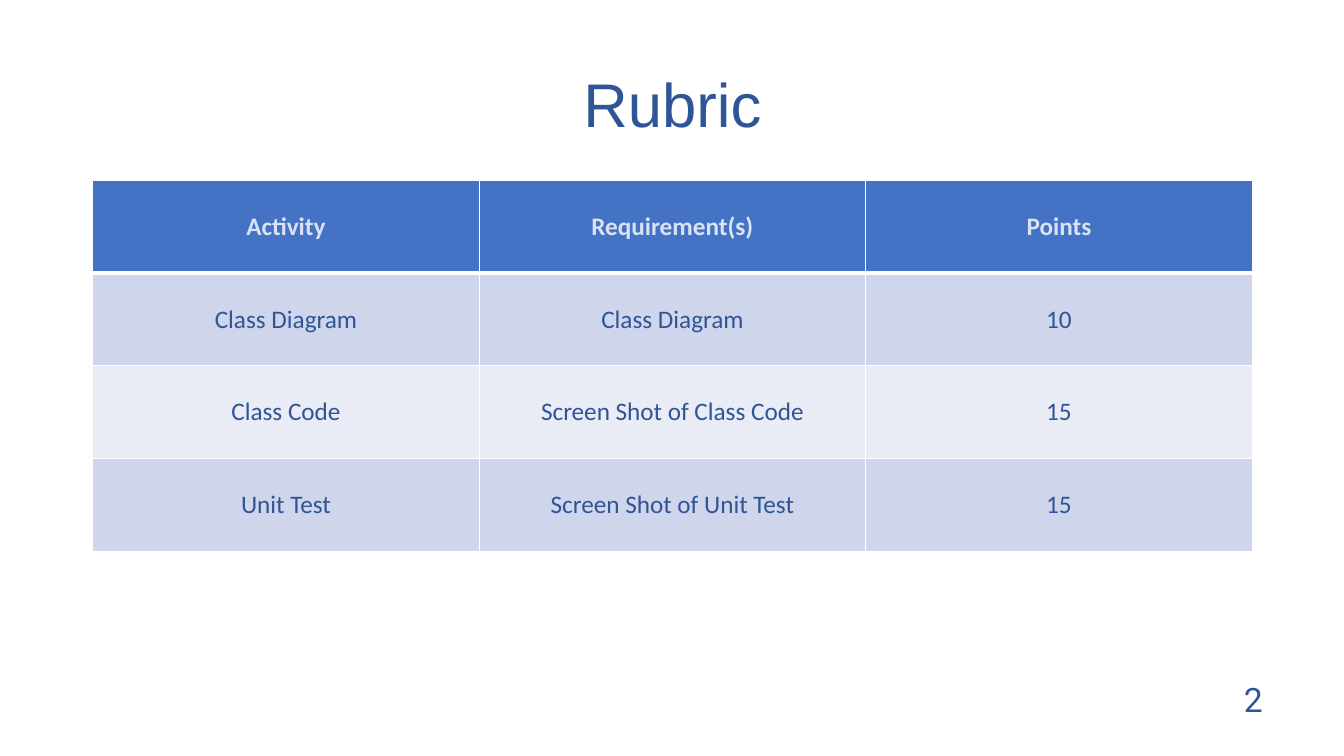
from lxml import etree
from pptx import Presentation
from pptx.dml.color import RGBColor
from pptx.enum import text
from pptx.oxml import ns
from pptx.util import Inches, Pt

TITLE = "Rubric"
PAGE_NUMBER = "2"
RUBRIC = [
    ("Activity", "Requirement(s)", "Points"),
    ("Class Diagram", "Class Diagram", "10"),
    ("Class Code", "Screen Shot of Class Code", "15"),
    ("Unit Test", "Screen Shot of Unit Test", "15"),
]
COLORS = {
    "text": "2F5597",
    "header": "4472C4",
    "header_text": "DAE3F3",
    "odd": "CFD5EA",
    "even": "E9EBF5",
    "border": "FFFFFF",
}
LEFT, WIDTH = 0.92, 11.5
TABLE_TOP, ROW_HEIGHT = 1.79, 0.92


def rgb(name):
    return RGBColor.from_string(COLORS[name])


def write(tf, content, font, size, color, bold=False):
    """Fill a frame with one centred, formatted paragraph."""
    tf.word_wrap = True
    p = tf.paragraphs[0]
    p.text = content
    p.alignment = text.PP_ALIGN.CENTER
    p.font.name, p.font.size, p.font.bold = font, Pt(size), bold
    p.font.color.rgb = rgb(color)
    return p


def add_borders(cell, widths):
    tc_pr = cell._tc.get_or_add_tcPr()
    for side, width in widths.items():
        ln = etree.SubElement(tc_pr, ns.qn(f"a:ln{side}"), w=str(Pt(width)))
        fill = etree.SubElement(ln, ns.qn("a:solidFill"))
        etree.SubElement(fill, ns.qn("a:srgbClr"), val=COLORS["border"])


def add_title(slide):
    title = slide.shapes.title
    title.left, title.top = Inches(LEFT), Inches(0.34)
    title.width, title.height = Inches(WIDTH), Inches(1.45)
    title.text_frame.vertical_anchor = text.MSO_ANCHOR.MIDDLE
    write(title.text_frame, TITLE, "Arial", 44, "text").line_spacing = 0.9


def add_rubric(slide):
    rows, cols = len(RUBRIC), len(RUBRIC[0])
    table = slide.shapes.add_table(
        rows, cols, Inches(LEFT), Inches(TABLE_TOP),
        Inches(WIDTH), Inches(rows * ROW_HEIGHT)).table
    for i, row in enumerate(RUBRIC):
        band = "header" if i == 0 else "odd" if i % 2 else "even"
        color = "header_text" if i == 0 else "text"
        borders = {"L": 1, "R": 1, "T": 3 if i == 1 else 1, "B": 3 if i == 0 else 1}
        for j, content in enumerate(row):
            cell = table.cell(i, j)
            add_borders(cell, borders)
            cell.fill.solid()
            cell.fill.fore_color.rgb = rgb(band)
            cell.vertical_anchor = text.MSO_ANCHOR.MIDDLE
            write(cell.text_frame, content, "Calibri", 18, color, bold=i == 0)


def add_page_number(slide):
    box = slide.shapes.add_textbox(Inches(12.08), Inches(6.69), Inches(0.7), Inches(0.5))
    box.text_frame.vertical_anchor = text.MSO_ANCHOR.MIDDLE
    write(box.text_frame, PAGE_NUMBER, "Roboto", 24, "text")


def main():
    prs = Presentation()
    prs.slide_width, prs.slide_height = Inches(13.33), Inches(7.5)
    slide = prs.slides.add_slide(prs.slide_layouts[5])
    add_title(slide)
    add_rubric(slide)
    add_page_number(slide)
    prs.save("out.pptx")


if __name__ == "__main__":
    main()
